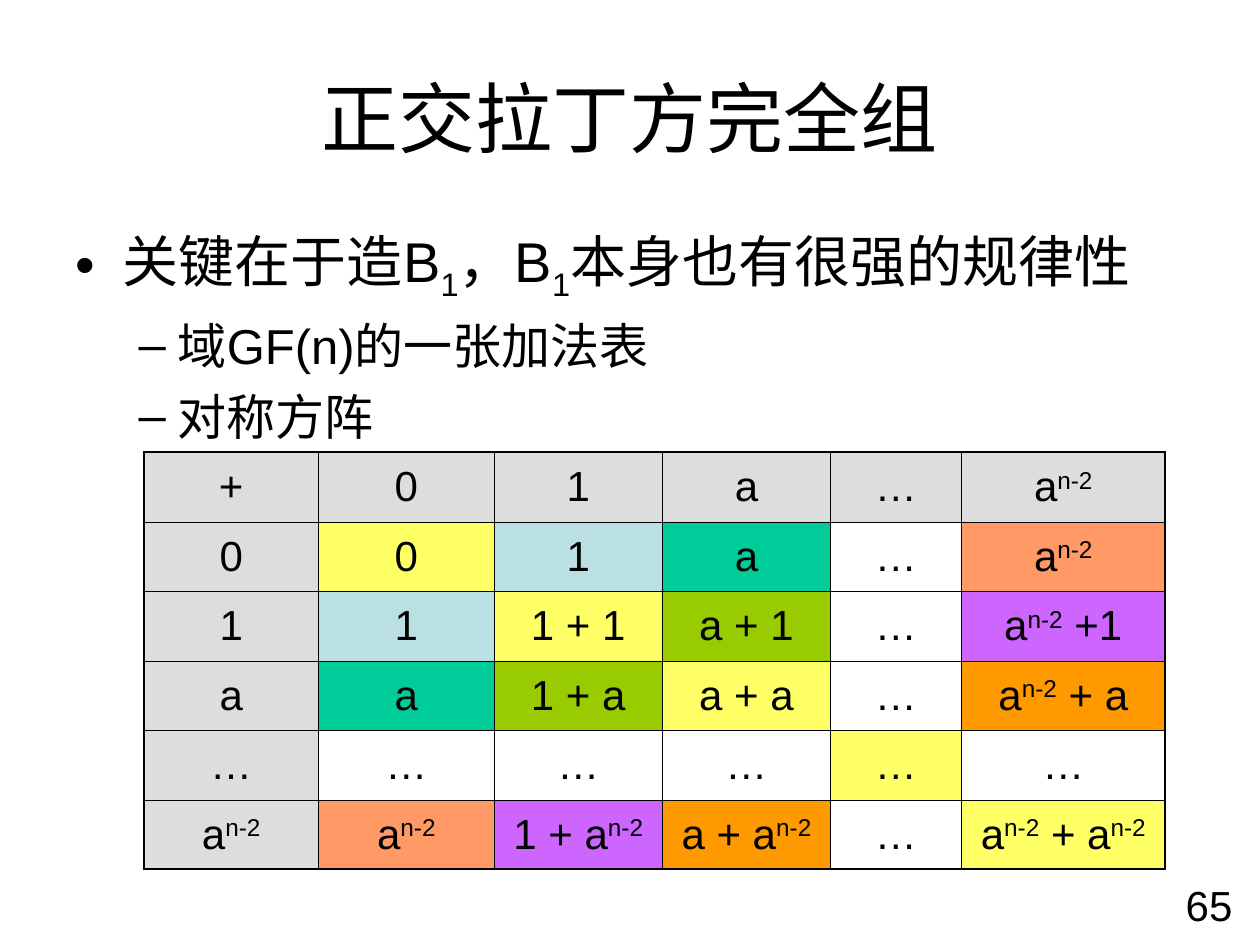
import lxml.etree
import pptx
import pptx.dml.color
import pptx.enum.text
import pptx.oxml.ns
import pptx.util

Inches, Pt = pptx.util.Inches, pptx.util.Pt
RGBColor = pptx.dml.color.RGBColor
ALIGN = pptx.enum.text.PP_ALIGN
ANCHOR = pptx.enum.text.MSO_ANCHOR
qn = pptx.oxml.ns.qn

BLACK = RGBColor(0x00, 0x00, 0x00)
WHITE = RGBColor(0xFF, 0xFF, 0xFF)
GREY = RGBColor(0xDD, 0xDD, 0xDD)
YELLOW = RGBColor(0xFF, 0xFF, 0x66)
PALE_BLUE = RGBColor(0xBB, 0xE0, 0xE3)
TEAL = RGBColor(0x00, 0xCC, 0x99)
CORAL = RGBColor(0xFF, 0x99, 0x66)
LIME = RGBColor(0x99, 0xCC, 0x00)
PURPLE = RGBColor(0xCC, 0x66, 0xFF)
ORANGE = RGBColor(0xFF, 0x99, 0x00)

FONT = "Arial"
SHIFTS = {"^": 30000, "_": -25000}
TITLE = "正交拉丁方完全组"
BULLETS = [
    (0, "关键在于造B_1_，B_1_本身也有很强的规律性", 32, 0),
    (1, "域GF(n)的一张加法表", 28, 7),
    (1, "对称方阵", 28, 7),
]
ADDITION = [
    ["+", "0", "1", "a", "…", "a^n-2^"],
    ["0", "0", "1", "a", "…", "a^n-2^"],
    ["1", "1", "1 + 1", "a + 1", "…", "a^n-2^ +1"],
    ["a", "a", "1 + a", "a + a", "…", "a^n-2^ + a"],
    ["…", "…", "…", "…", "…", "…"],
    ["a^n-2^", "a^n-2^", "1 + a^n-2^", "a + a^n-2^", "…", "a^n-2^ + a^n-2^"],
]
SYMMETRIC_FILLS = {
    (1, 2): PALE_BLUE, (1, 3): TEAL, (1, 5): CORAL,
    (2, 3): LIME, (2, 5): PURPLE, (3, 5): ORANGE,
}
COLUMNS = [1.39, 1.39, 1.34, 1.33, 1.04, 1.62]
TABLE_HEIGHT = 3.31
THIN, THICK = 0.45, 1.25
PAGE_NUMBER = "65"


def place(shape, left, top, width, height):
    shape.left, shape.top = Inches(left), Inches(top)
    shape.width, shape.height = Inches(width), Inches(height)


def write(para, text, size, align=None, before=0):
    para.alignment = align
    para.space_before = Pt(before)
    marker = "_" if "_" in text else "^"
    for index, part in enumerate(text.split(marker)):
        if not part:
            continue
        span = para.add_run()
        span.text = part
        span.font.name, span.font.size = FONT, Pt(size)
        span.font.color.rgb = BLACK
        if index % 2:
            span.font._element.set("baseline", str(SHIFTS[marker]))


def fill_colour(row, column):
    if 0 in (row, column):
        return GREY
    if row == column:
        return YELLOW
    return SYMMETRIC_FILLS.get((min(row, column), max(row, column)), WHITE)


def set_borders(cell, outer_sides):
    properties = cell._tc.get_or_add_tcPr()
    for side, outer in zip("LRTB", outer_sides):
        width = Pt(THICK if outer else THIN)
        line = lxml.etree.SubElement(properties, qn(f"a:ln{side}"), w=str(int(width)))
        solid = lxml.etree.SubElement(line, qn("a:solidFill"))
        lxml.etree.SubElement(solid, qn("a:srgbClr"), val=str(BLACK))


def add_addition_table(page):
    frame = page.shapes.add_table(
        len(ADDITION), len(COLUMNS), Inches(1.14), Inches(3.59),
        Inches(sum(COLUMNS)), Inches(TABLE_HEIGHT))
    table = frame.table
    table.first_row = table.horz_banding = False
    for column, width in zip(table.columns, COLUMNS):
        column.width = Inches(width)
    last_row, last_column = len(ADDITION) - 1, len(COLUMNS) - 1
    for r, texts in enumerate(ADDITION):
        for c, text in enumerate(texts):
            cell = table.cell(r, c)
            set_borders(cell, (c == 0, c == last_column, r == 0, r == last_row))
            cell.fill.solid()
            cell.fill.fore_color.rgb = fill_colour(r, c)
            cell.vertical_anchor = ANCHOR.MIDDLE
            write(cell.text_frame.paragraphs[0], text, 24, ALIGN.CENTER)


def main():
    """Build the slide on complete sets of orthogonal Latin squares."""
    deck = pptx.Presentation()
    deck.slide_width, deck.slide_height = Inches(10), Inches(7.5)
    page = deck.slides.add_slide(deck.slide_layouts[1])

    title, body = page.placeholders
    place(title, 0.5, 0.3, 9, 1.25)
    write(title.text_frame.paragraphs[0], TITLE, 44, ALIGN.CENTER)

    place(body, 0.5, 1.75, 9.1, 4.95)
    body.text_frame.auto_size = pptx.enum.text.MSO_AUTO_SIZE.NONE
    for index, (level, text, size, before) in enumerate(BULLETS):
        frame = body.text_frame
        para = frame.add_paragraph() if index else frame.paragraphs[0]
        para.level = level
        write(para, text, size, before=before)

    add_addition_table(page)

    number = page.shapes.add_textbox(
        Inches(7.55), Inches(6.93), Inches(2.33), Inches(0.52))
    number.text_frame.word_wrap = True
    write(number.text_frame.paragraphs[0], PAGE_NUMBER, 24, ALIGN.RIGHT)

    deck.save("out.pptx")


if __name__ == "__main__":
    main()
